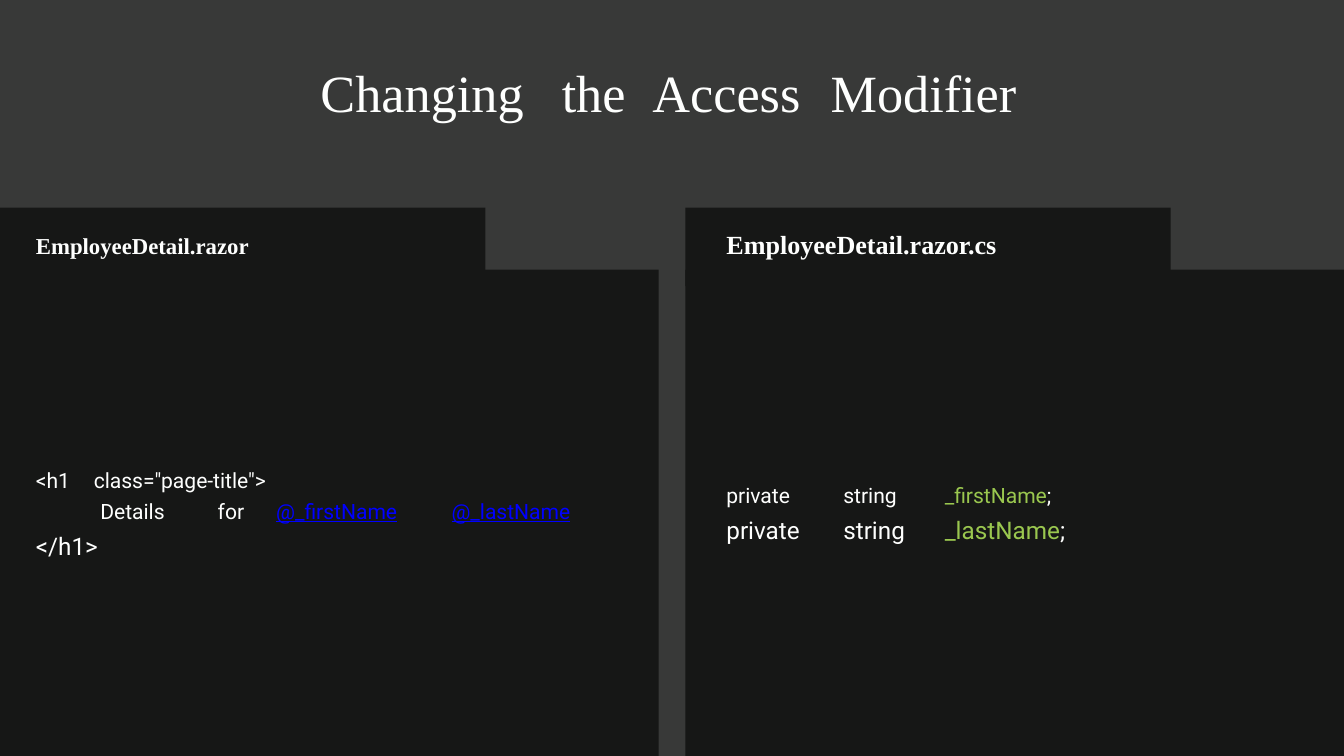
from lxml import etree
from pptx import Presentation
from pptx.dml.color import RGBColor
from pptx.enum.shapes import MSO_SHAPE
from pptx.enum.text import MSO_ANCHOR, MSO_AUTO_SIZE, PP_ALIGN
from pptx.oxml.ns import qn
from pptx.util import Pt

RECTANGLE = MSO_SHAPE.RECTANGLE
TOP = MSO_ANCHOR.TOP
LEFT = PP_ALIGN.LEFT
NO_AUTOFIT = MSO_AUTO_SIZE.NONE

COLORS = {
    "background": "383938",
    "panel": "161716",
    "text": "FEFFFE",
    "field": "9AC74F",
    "reference": "0000FF",
}
SERIF, SANS = "Times New Roman", "Roboto"


def prepare_frame(shape, wrap, margin_left=0, margin_top=0):
    frame = shape.text_frame
    settings = {
        "auto_size": NO_AUTOFIT, "word_wrap": wrap, "vertical_anchor": TOP,
        "margin_left": Pt(margin_left), "margin_top": Pt(margin_top),
        "margin_right": 0, "margin_bottom": 0,
    }
    for name, value in settings.items():
        setattr(frame, name, value)
    return frame


def write_line(paragraph, runs, font, size, spacing, before=0, bold=False, tabs=()):
    """Fill a paragraph with (text, colour) runs; tab stops are in points."""
    if tabs:
        tab_list = etree.SubElement(paragraph._p.get_or_add_pPr(), qn("a:tabLst"))
        for position in tabs:
            etree.SubElement(tab_list, qn("a:tab"), pos=str(Pt(position)), algn="l")
    paragraph.alignment = LEFT
    paragraph.line_spacing = Pt(spacing)
    paragraph.space_before = Pt(before)
    for text, color in runs:
        run = paragraph.add_run()
        run.text = text
        formats = {"name": font, "size": Pt(size), "bold": bold}
        if color == "reference":
            formats["underline"] = True
        for name, value in formats.items():
            setattr(run.font, name, value)
        run.font.color.rgb = RGBColor.from_string(COLORS[color])


presentation = Presentation()
presentation.slide_width = Pt(1440)
presentation.slide_height = Pt(810)
slide = presentation.slides.add_slide(presentation.slide_layouts[5])
slide.background.fill.solid()
slide.background.fill.fore_color.rgb = RGBColor.from_string(COLORS["background"])

title = slide.shapes.title
title.left, title.top, title.width, title.height = Pt(343.4), Pt(73.5), Pt(780), Pt(58)
write_line(
    prepare_frame(title, True).paragraphs[0],
    [("Changing\tthe\tAccess\tModifier", "text")],
    SERIF, 56, 58, tabs=(258.5, 355.7, 546.5),
)

# Each code line: runs, font size, line spacing, space before, tab stops
razor_lines = [
    ([("<h1\tclass=\"page-title\">", "text")], 22.6, 28, 0, (62,)),
    ([("\tDetails\tfor\t", "text"), ("@_firstName", "reference"),
      ("\t", "text"), ("@_lastName", "reference")],
     22.6, 28, 5.6, (69, 154.8 + 40, 217.5 + 40, 405.3 + 40)),
    ([("</h1>", "text")], 26, 31, 7.8, ()),
]
razor_lines[1] = (*razor_lines[1][:4], (69, 194.8, 257.4, 445.3))
field_tabs = (125.3, 234)
class_lines = [
    ([("private\tstring\t", "text"), ("_firstName", "field"), (";", "text")],
     22.6, 28, 0, field_tabs),
    ([("private\tstring\t", "text"), ("_lastName", "field"), (";", "text")],
     26, 31, 7.8, field_tabs),
]

# Each file: left edge, name, name size, text indent, code top, code lines
files = [
    (0, "EmployeeDetail.razor", 24.4, 38.5, 499.5, razor_lines),
    (734.4, "EmployeeDetail.razor.cs", 28, 43.9, 516.5, class_lines),
]
for left, file_name, name_size, indent, code_top, code_lines in files:
    panel = slide.shapes.add_shape(RECTANGLE, Pt(left), Pt(289), Pt(705.6), Pt(521))
    file_tab = slide.shapes.add_shape(RECTANGLE, Pt(left), Pt(222.5), Pt(520), Pt(84.2))
    for shape in (panel, file_tab):
        shape.shadow.inherit = False
        shape.fill.solid()
        shape.fill.fore_color.rgb = RGBColor.from_string(COLORS["panel"])
        shape.line.fill.background()
    name_frame = prepare_frame(file_tab, True, margin_left=indent, margin_top=25.5)
    write_line(name_frame.paragraphs[0], [(file_name, "text")],
               SERIF, name_size, 30, bold=True)

    code_box = slide.shapes.add_textbox(Pt(left + indent), Pt(code_top), Pt(640), Pt(105))
    code_frame = prepare_frame(code_box, True)
    for index, (runs, size, spacing, before, tabs) in enumerate(code_lines):
        paragraph = code_frame.add_paragraph() if index else code_frame.paragraphs[0]
        write_line(paragraph, runs, SANS, size, spacing, before, tabs=tabs)

presentation.save("out.pptx")
